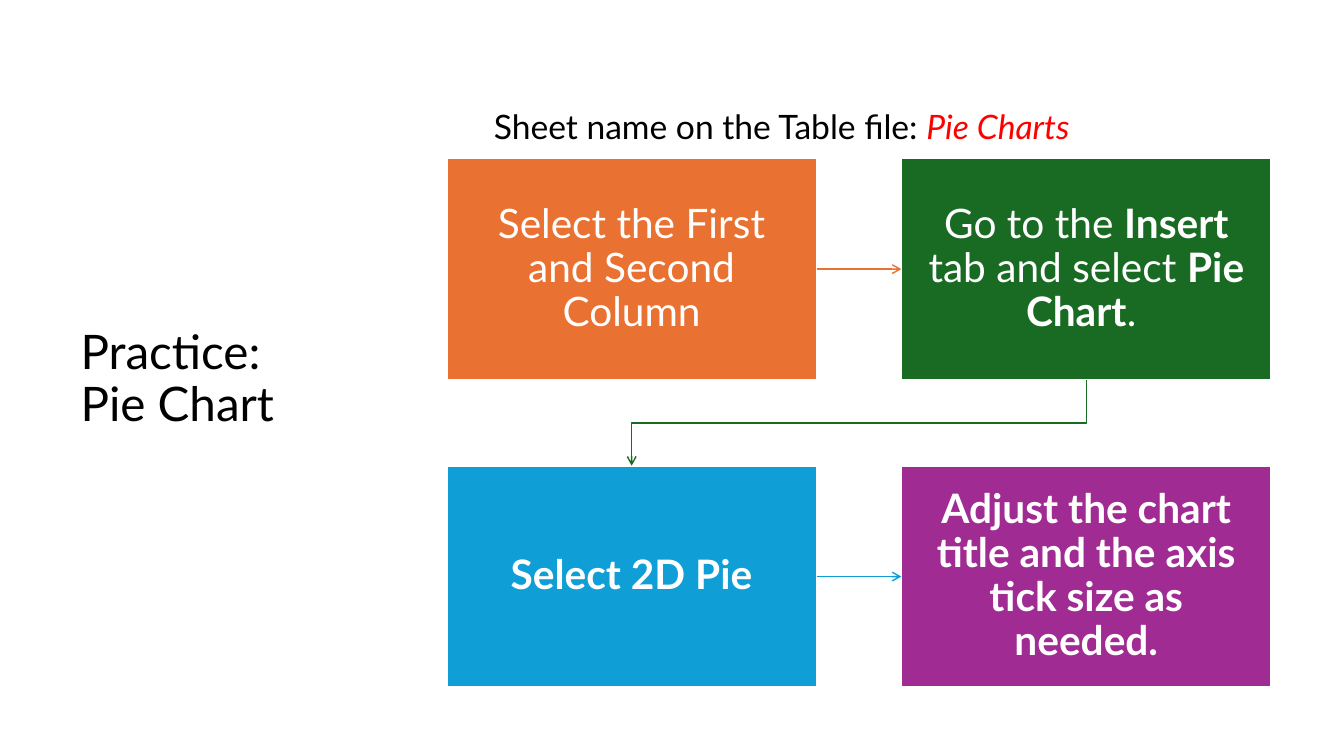
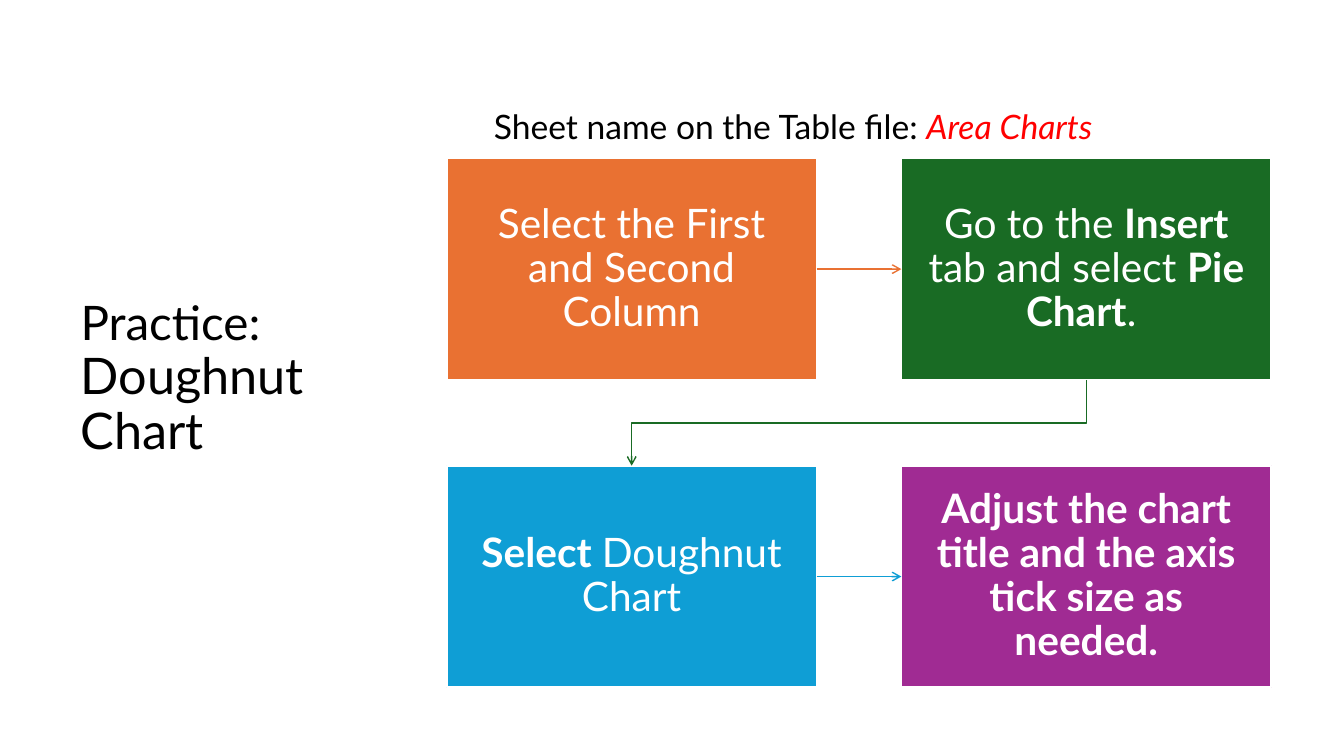
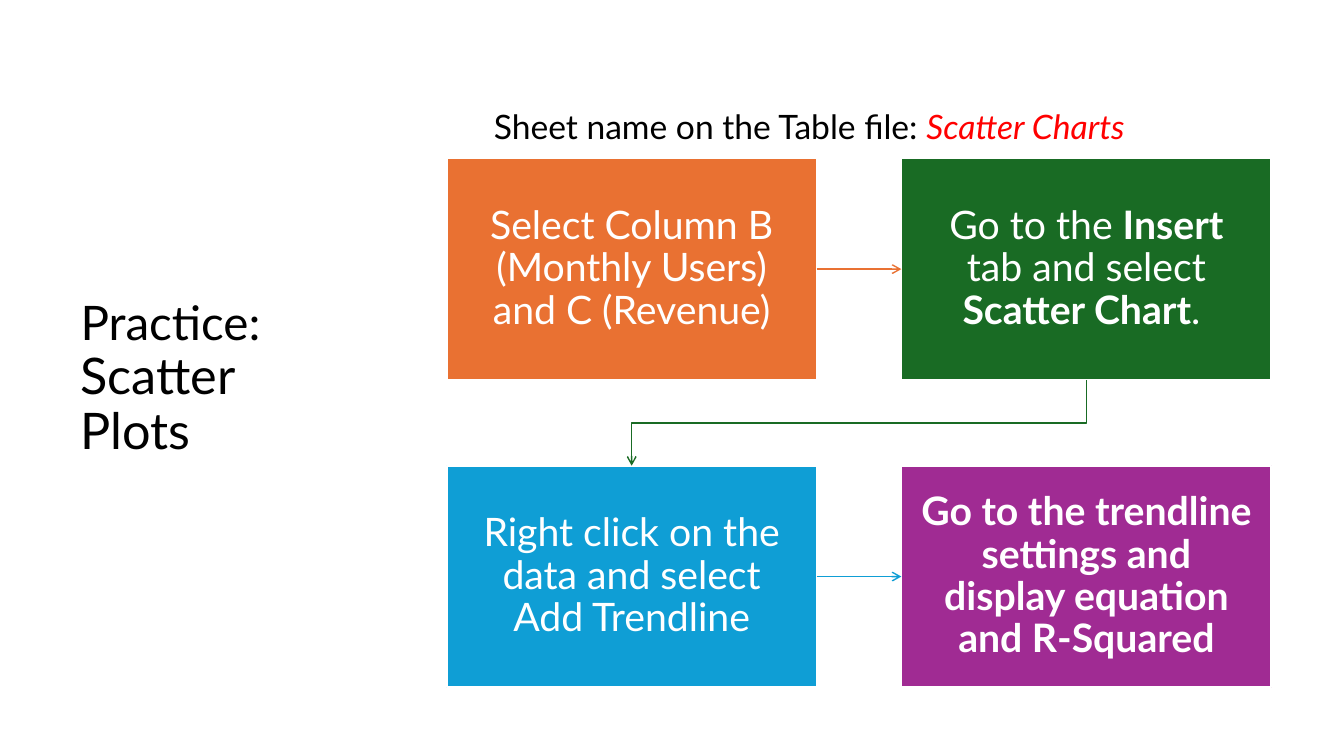
from pptx import Presentation
from pptx.dml.color import RGBColor as RGB
from pptx.enum.shapes import MSO_CONNECTOR as LINK, MSO_SHAPE as SHAPE
from pptx.enum.text import MSO_ANCHOR as ANCHOR, MSO_AUTO_SIZE as FIT, PP_ALIGN as ALIGN
from pptx.oxml.ns import qn
from pptx.oxml.xmlchemy import OxmlElement
from pptx.util import Inches, Pt

COLORS = {"black": "000000", "white": "FFFFFF", "red": "FF0000", "orange": "E97132",
          "green": "196B24", "blue": "0F9ED5", "purple": "A02B93"}
STEP_COLORS = ["orange", "green", "blue", "purple"]
LEFT, TOP, STEP_W, STEP_H = 4.43, 1.57, 3.67, 2.2
COLUMN_PITCH, ROW_PITCH = 4.51, 3.05

BOLD = {"bold": True}
STEP_FRAME = {"word_wrap": True, "vertical_anchor": ANCHOR.MIDDLE,
              "margin_left": Inches(0.18), "margin_right": Inches(0.18),
              "margin_top": Inches(0.19), "margin_bottom": Inches(0.19)}
STEP_PARAGRAPH = {"alignment": ALIGN.CENTER, "line_spacing": 0.9}
TITLE_PARAGRAPH = {"alignment": ALIGN.LEFT, "line_spacing": 0.9}
TITLE_PLACE = {"left": Inches(0.7), "top": Inches(1.5),
               "width": Inches(2.9), "height": Inches(4.54)}

FIRST_COLUMNS = [("Select the First and Second Column", {})]
ADJUST = [("Adjust the chart title and the axis tick size as needed.", BOLD)]
INSERT_PIE, INSERT_SCATTER = [
    [("Go to the ", {}), ("Insert", BOLD), (" tab and select ", {}), (chart, BOLD), (". ", {})]
    for chart in ("Pie Chart", "Scatter Chart")]

PRACTICES = [
    ("Pie Chart", 34, "Pie Charts", 5.94, 29,
     [FIRST_COLUMNS, INSERT_PIE, [("Select 2D Pie", BOLD)], ADJUST]),
    ("Doughnut Chart", 36, "Area Charts", 6.31, 29,
     [FIRST_COLUMNS, INSERT_PIE, [("Select ", BOLD), ("Doughnut Chart", {})], ADJUST]),
    ("Scatter Plots", 36, "Scatter Charts", 6.53, 28,
     [[("Select Column B (Monthly Users) and C (Revenue)", {})], INSERT_SCATTER,
      [("Right click on the data and select Add Trendline", {})],
      [("Go to the trendline settings and display equation and R-Squared", BOLD)]]),
]


def apply(target, values):
    for name, value in values.items():
        setattr(target, name, value)


def write(paragraph, runs, size, color):
    for text, style in runs:
        run = paragraph.add_run()
        run.text = text
        apply(run.font, {"name": "Lato", "size": Pt(size)})
        run.font.color.rgb = RGB.from_string(COLORS[style.get("color", color)])
        apply(run.font, {key: value for key, value in style.items() if key != "color"})


prs = Presentation()
apply(prs, {"slide_width": Inches(13.33), "slide_height": Inches(7.5)})
layout = prs.slide_layouts[5]
apply(layout.placeholders[0], TITLE_PLACE)
title_style = next(prs.slide_master.element.iter(qn("p:titleStyle")))
title_font = next(title_style.iter(qn("a:defRPr")))
title_font.set("sz", "3400")
title_font.find(qn("a:latin")).set("typeface", "Lato")

for topic, topic_size, sheet, note_width, step_size, step_texts in PRACTICES:
    slide = prs.slides.add_slide(layout)
    title = slide.shapes.title.text_frame
    apply(title, {"vertical_anchor": ANCHOR.MIDDLE, "auto_size": FIT.NONE})
    heading = title.paragraphs[0]
    apply(heading, TITLE_PARAGRAPH)
    write(heading, [("Practice:", {})], 34, "black")
    heading.add_line_break()
    write(heading, [(topic, {})], topic_size, "black")

    steps = []
    for index, (runs, color) in enumerate(zip(step_texts, STEP_COLORS)):
        row, column = divmod(index, 2)
        step = slide.shapes.add_shape(
            SHAPE.RECTANGLE, Inches(LEFT + column * COLUMN_PITCH),
            Inches(TOP + row * ROW_PITCH), Inches(STEP_W), Inches(STEP_H))
        step.shadow.inherit = False
        step.fill.solid()
        step.fill.fore_color.rgb = RGB.from_string(COLORS[color])
        step.line.color.rgb = RGB.from_string(COLORS["white"])
        step.line.width = Pt(1.5)
        apply(step.text_frame, STEP_FRAME)
        apply(step.text_frame.paragraphs[0], STEP_PARAGRAPH)
        write(step.text_frame.paragraphs[0], runs, step_size, "white")
        steps.append(step)

    for index, color in enumerate(STEP_COLORS[:-1]):
        turns = index == 1
        arrow = slide.shapes.add_connector(LINK.ELBOW if turns else LINK.STRAIGHT, 0, 0, 0, 0)
        arrow.begin_connect(steps[index], 2 if turns else 3)
        arrow.end_connect(steps[index + 1], 0 if turns else 1)
        if turns:
            drop = ROW_PITCH - STEP_H
            center_x = LEFT + (STEP_W + COLUMN_PITCH) / 2
            center_y = TOP + STEP_H + drop / 2
            xfrm = arrow.element.spPr.find(qn("a:xfrm"))
            xfrm.attrib.clear()
            xfrm.set("rot", "5400000")
            apply(arrow, {"left": Inches(center_x - drop / 2),
                          "top": Inches(center_y - COLUMN_PITCH / 2),
                          "width": Inches(drop), "height": Inches(COLUMN_PITCH)})
        arrow.line.color.rgb = RGB.from_string(COLORS[color])
        arrow.line.width = Pt(1)
        head = OxmlElement("a:tailEnd")
        head.set("type", "arrow")
        arrow.element.spPr.find(qn("a:ln")).append(head)
        arrow.element.spPr.append(OxmlElement("a:effectLst"))

    sheet_note = slide.shapes.add_textbox(
        Inches(4.8), Inches(1), Inches(note_width), Inches(0.5))
    apply(sheet_note.text_frame, {"word_wrap": False, "auto_size": FIT.SHAPE_TO_FIT_TEXT})
    write(sheet_note.text_frame.paragraphs[0],
          [("Sheet name on the Table file: ", {}), (sheet, {"color": "red", "italic": True})],
          24, "black")

prs.save("out.pptx")
